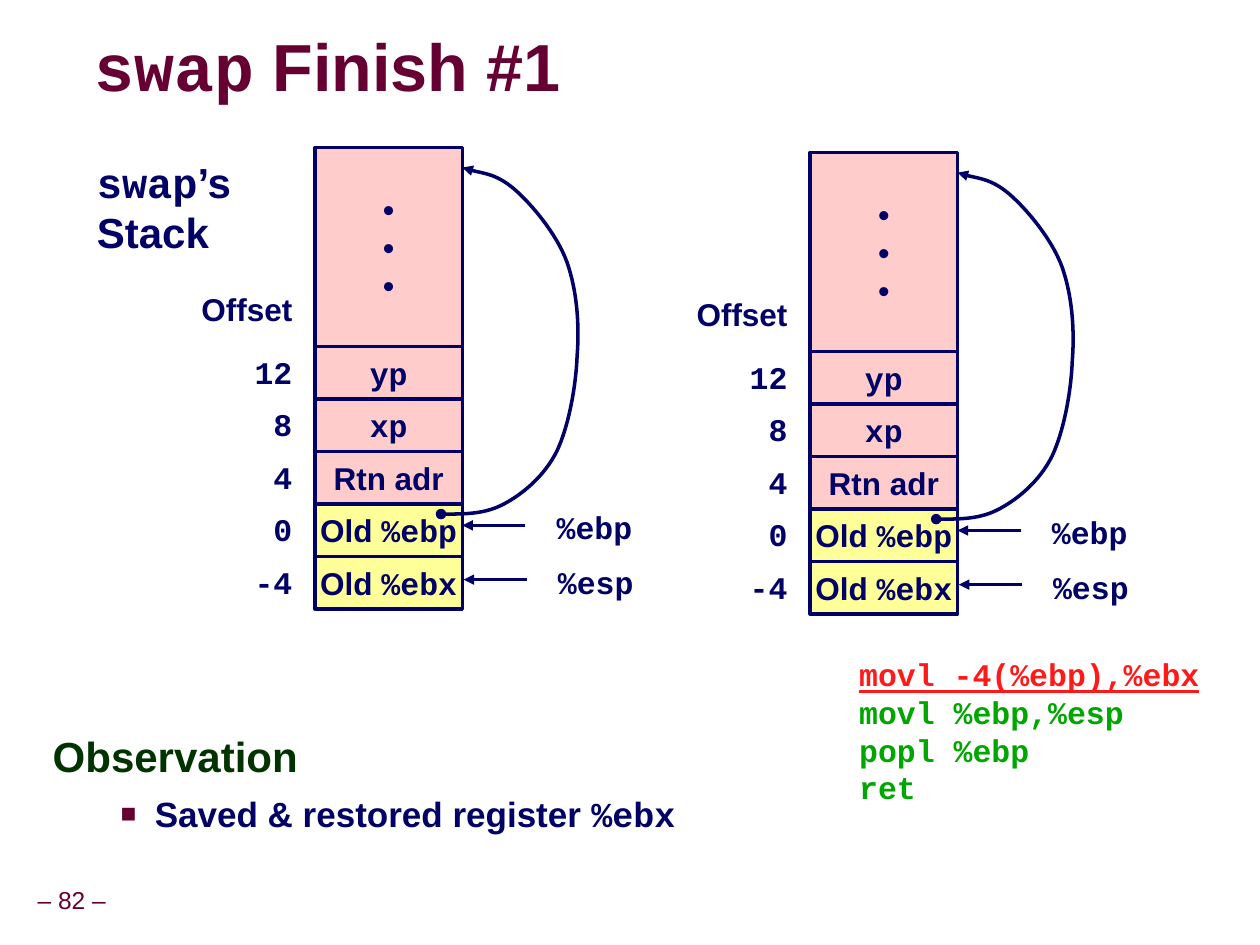
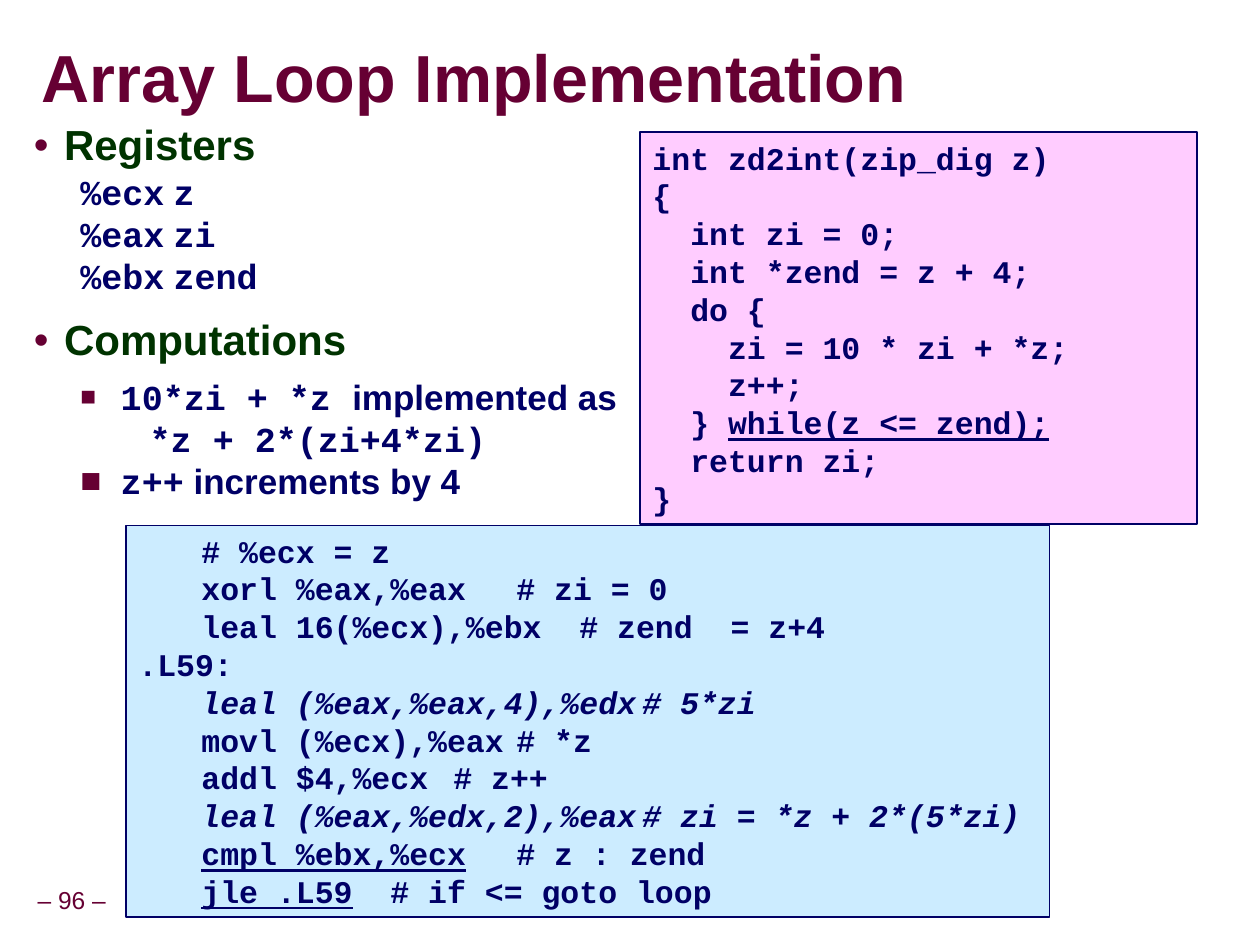
from dataclasses import dataclass, replace

from lxml import etree
from pptx import Presentation
from pptx.dml.color import RGBColor
from pptx.enum.shapes import MSO_CONNECTOR, MSO_SHAPE
from pptx.enum.text import MSO_ANCHOR, PP_ALIGN
from pptx.oxml.ns import qn
from pptx.util import Inches, Pt

LEFT, CENTER, RIGHT = PP_ALIGN.LEFT, PP_ALIGN.CENTER, PP_ALIGN.RIGHT
TOP, MIDDLE = MSO_ANCHOR.TOP, MSO_ANCHOR.MIDDLE
RECTANGLE, STRAIGHT = MSO_SHAPE.RECTANGLE, MSO_CONNECTOR.STRAIGHT
BLANK_LAYOUT = 6


# Theme
class Theme:
    navy, maroon, heading = "000066", "660033", "003300"
    red, green = "FF1A1A", "00A600"
    pink, yellow, blue, violet = "FFCCCC", "FFFF99", "CCECFF", "FFCCFF"
    sans, mono = "Arial", "Courier New"
    title, large, body, label, footer = 38, 24, 20, 18, 14


@dataclass(frozen=True)
class Style:
    font: str = Theme.sans
    size: int = Theme.label
    color: str = Theme.navy
    bold: bool = True
    italic: bool = False
    underline: bool = False
    shadow: bool = False


LABEL = Style()
CODE = Style(Theme.mono)
CODE_ITALIC = replace(CODE, italic=True)
CODE_UNDERLINE = replace(CODE, underline=True)
CODE_NEXT = replace(CODE, color=Theme.green)
CODE_CURRENT = replace(CODE, color=Theme.red, underline=True)
SIDE, SIDE_CODE = replace(LABEL, size=Theme.large), replace(CODE, size=Theme.large)
BODY, BODY_CODE = replace(LABEL, size=Theme.body), replace(CODE, size=Theme.body)
HEADING = replace(SIDE, color=Theme.heading)
TITLE = Style(size=Theme.title, color=Theme.maroon, shadow=True)
TITLE_CODE = replace(TITLE, font=Theme.mono)
FOOTER = Style(size=Theme.footer, color=Theme.maroon, bold=False)

# Content of slide 1: a paragraph is (runs, format), a run is (text, style)
SWAP_TITLE = [("swap", TITLE_CODE), (" Finish #1", TITLE)]
STACK_NAME = [([("swap", SIDE_CODE), ("’s", SIDE)], {}), ([("Stack", SIDE)], {})]
STACK_ROWS = [  # offset, cell runs, fill
    ("12", [("yp", CODE)], Theme.pink),
    ("8", [("xp", CODE)], Theme.pink),
    ("4", [("Rtn adr", LABEL)], Theme.pink),
    ("0", [("Old ", LABEL), ("%ebp", CODE)], Theme.yellow),
    ("-4", [("Old ", LABEL), ("%ebx", CODE)], Theme.yellow),
]
POINTERS = [("%ebp", 3.67, 4.17, 3.98), ("%esp", 3.68, 4.6, 4.42)]  # tip x, y, label top
CURVE_START = (3.5, 4.08)
CURVE = [  # two control points and the end of each piece
    ((3.67, 4.08), (3.85, 4.08), (4, 4)),
    ((4.15, 3.92), (4.32, 3.78), (4.42, 3.58)),
    ((4.51, 3.39), (4.57, 3.08), (4.58, 2.83)),
    ((4.6, 2.58), (4.58, 2.31), (4.5, 2.08)),
    ((4.42, 1.86), (4.22, 1.62), (4.08, 1.5)),
    ((3.94, 1.38), (3.74, 1.36), (3.67, 1.33)),
]
STACK_SHIFTS = [(0, 0), (3.93, 0.04)]
FINISH_TABS = {"tabs": [0.5]}
FINISH_CODE = [
    ([("\t", CODE), ("movl -4(%ebp),%ebx", CODE_CURRENT)], FINISH_TABS),
    ([("\tmovl %ebp,%esp", CODE_NEXT)], FINISH_TABS),
    ([("\tpopl %ebp", CODE_NEXT)], FINISH_TABS),
    ([("\tret", CODE_NEXT)], FINISH_TABS),
]
OBSERVATION = [
    ([("Observation", HEADING)], {"indent": (0.42, -0.42), "line": 0.95}),
    ([("Saved & restored register ", BODY), ("%ebx", BODY_CODE)],
     {"indent": (0.81, -0.27), "before": 6, "bullet": ("■", 75)}),
]

# Content of slide 2
ARRAY_TITLE = [("Array Loop Implementation", TITLE)]
TOPIC = {"indent": (0.24, -0.24), "line": 0.95, "bullet": ("•", 100)}
REGISTER = {"indent": (0.61, -0.24), "tabs": [1.25]}
DETAIL = {"indent": (0.69, -0.32)}
REGISTERS = [("%ecx", "z"), ("%eax", "zi"), ("%ebx", "zend")]
LOOP_NOTES = [
    ([("Registers", HEADING)], TOPIC),
    *[([(f"{register}\t{name}", BODY_CODE)], REGISTER) for register, name in REGISTERS],
    ([("Computations", HEADING)], {**TOPIC, "before": 12}),
    ([("10*zi + *z ", BODY_CODE), ("implemented as", BODY)],
     {**DETAIL, "before": 6, "bullet": ("■", 75)}),
    ([("*z + 2*(zi+4*zi)", BODY_CODE)], {"indent": (0.92, 0)}),
    ([("z++", BODY_CODE), (" increments by 4", BODY)], {**DETAIL, "bullet": ("■", 100)}),
]
C_STEP = 0.3  # two characters of code
C_LINES = [  # nesting depth, runs
    (0, [("int zd2int(zip_dig z)", CODE)]),
    (0, [("{", CODE)]),
    (1, [("int zi = 0;", CODE)]),
    (1, [("int *zend = z + 4;", CODE)]),
    (1, [("do {", CODE)]),
    (2, [("zi = 10 * zi + *z;", CODE)]),
    (2, [("z++;", CODE)]),
    (1, [("} ", CODE), ("while(z <= zend);", CODE_UNDERLINE)]),
    (1, [("return zi;", CODE)]),
    (0, [("}", CODE)]),
]
ASSEMBLY_TABS = {"tabs": [0.38, 4]}
ASSEMBLY = [  # instruction, comment, style
    ("# %ecx = z", "", CODE),
    ("xorl %eax,%eax", "# zi = 0", CODE),
    ("leal 16(%ecx),%ebx", "# zend  = z+4", CODE),
    (".L59:", "", CODE),
    ("leal (%eax,%eax,4),%edx", "# 5*zi", CODE_ITALIC),
    ("movl (%ecx),%eax", "# *z", CODE),
    ("addl $4,%ecx", "# z++", CODE),
    ("leal (%eax,%edx,2),%eax", "# zi = *z + 2*(5*zi)", CODE_ITALIC),
    ("cmpl %ebx,%ecx", "# z : zend", CODE_UNDERLINE),
    ("jle .L59", "# if <= goto loop", CODE_UNDERLINE),
]


# Text
def add_element(parent, tag, **attributes):
    return etree.SubElement(parent, qn(tag), {k: str(v) for k, v in attributes.items()})


def add_run(paragraph, text, style):
    run = paragraph.add_run()
    run.text = text
    font = run.font
    font.name, font.size, font.bold = style.font, Pt(style.size), style.bold
    font.italic, font.underline = style.italic, style.underline
    font.color.rgb = RGBColor.from_string(style.color)
    if style.shadow:
        effects = etree.Element(qn("a:effectLst"))
        shadow = add_element(effects, "a:outerShdw", blurRad=38100, dist=38100, dir=2700000)
        color = add_element(shadow, "a:srgbClr", val="000000")
        add_element(color, "a:alpha", val=43000)
        run._r.rPr.find(qn("a:solidFill")).addnext(effects)


def format_paragraph(paragraph, indent=(0, 0), line=1.0, before=0, bullet=None, tabs=()):
    paragraph.line_spacing, paragraph.space_before = line, Pt(before)
    properties = paragraph._p.get_or_add_pPr()
    properties.set("marL", str(Inches(indent[0])))
    properties.set("indent", str(Inches(indent[1])))
    if bullet:
        character, percent = bullet
        color = add_element(properties, "a:buClr")
        add_element(color, "a:srgbClr", val=Theme.maroon)
        add_element(properties, "a:buSzPct", val=percent * 1000)
        add_element(properties, "a:buFont", typeface=Theme.sans)
        add_element(properties, "a:buChar", char=character)
    if tabs:
        tab_list = add_element(properties, "a:tabLst")
        for position in tabs:
            add_element(tab_list, "a:tab", pos=Inches(position), algn="l")


def fill_text(shape, paragraphs, align=LEFT, anchor=TOP, wrap=True,
              insets=(0.1, 0.05, 0.1, 0.05)):
    frame = shape.text_frame
    frame.word_wrap, frame.vertical_anchor = wrap, anchor
    (frame.margin_left, frame.margin_top,
     frame.margin_right, frame.margin_bottom) = map(Inches, insets)
    for index, (runs, layout) in enumerate(paragraphs):
        paragraph = frame.add_paragraph() if index else frame.paragraphs[0]
        paragraph.alignment = align
        format_paragraph(paragraph, **layout)
        for text, style in runs:
            add_run(paragraph, text, style)


def add_text(slide, place, paragraphs, **options):
    fill_text(slide.shapes.add_textbox(*map(Inches, place)), paragraphs, **options)


# Shapes
def add_panel(slide, place, fill, width, paragraphs, **options):
    shape = slide.shapes.add_shape(RECTANGLE, *map(Inches, place))
    shape.shadow.inherit = False
    shape.fill.solid()
    shape.fill.fore_color.rgb = RGBColor.from_string(fill)
    draw_line(shape, width)
    fill_text(shape, paragraphs, **options)


def draw_line(shape, width, head=None, tail=None):
    shape.line.color.rgb = RGBColor.from_string(Theme.navy)
    shape.line.width = Pt(width)
    for tag, kind in (("a:headEnd", head), ("a:tailEnd", tail)):
        if kind:
            add_element(shape.line._get_or_add_ln(), tag, type=kind)


def add_arrow(slide, start, end):
    arrow = slide.shapes.add_connector(STRAIGHT, *map(Inches, start + end))
    draw_line(arrow, 2, tail="triangle")
    add_element(arrow._element.spPr, "a:effectLst")


def add_curve(slide, start, pieces):
    anchors = [start] + [piece[-1] for piece in pieces]
    left, top = min(x for x, _ in anchors), min(y for _, y in anchors)
    builder = slide.shapes.build_freeform(Inches(start[0]), Inches(start[1]))
    builder.add_line_segments([(Inches(x), Inches(y)) for x, y in anchors[1:]], close=False)
    shape = builder.convert_to_shape()
    shape.shadow.inherit = False
    shape.fill.background()
    draw_line(shape, 2, head="oval", tail="triangle")
    # Bend each straight piece
    for segment, piece in zip(list(shape._element.iter(qn("a:lnTo"))), pieces):
        bend = etree.Element(qn("a:cubicBezTo"))
        for x, y in piece:
            add_element(bend, "a:pt", x=Inches(x - left), y=Inches(y - top))
        segment.getparent().replace(segment, bend)


# Slide parts
def add_slide(presentation, number, title, title_place):
    slide = presentation.slides.add_slide(presentation.slide_layouts[BLANK_LAYOUT])
    add_text(slide, (0.24, 7, 0.66, 0.31), [([(f"– {number} –", FOOTER)], {"line": 0.9})],
             align=CENTER, anchor=MIDDLE, wrap=False, insets=(0.05,) * 4)
    add_text(slide, title_place, [(title, {"line": 0.87})], anchor=MIDDLE, insets=(0,) * 4)
    return slide


def add_stack(slide, dx, dy):
    cell_left, cell_width, row_height, rows_top = 2.5 + dx, 1.17, 5 / 12, 2.75 + dy
    cell = {"align": CENTER, "anchor": MIDDLE, "wrap": False}
    add_panel(slide, (cell_left, 1.17 + dy, cell_width, 1.58), Theme.pink, 2,
              [([("•", LABEL)], {})] * 3, **cell)
    add_text(slide, (1.5 + dx, 2.25 + dy, 0.92, 0.4), [([("Offset", LABEL)], {})], wrap=False)
    for index, (offset, runs, fill) in enumerate(STACK_ROWS):
        top = rows_top + index * row_height
        add_panel(slide, (cell_left, top, cell_width, row_height), fill, 2, [(runs, {})], **cell)
        add_text(slide, (1.92 + dx, top, 0.65, 0.4), [([(offset, CODE)], {})],
                 align=RIGHT, insets=(0, 0.05, 0.25, 0.05))
    for name, tip, height, label_top in POINTERS:
        add_arrow(slide, (tip + 0.5 + dx, height + dy), (tip + dx, height + dy))
        add_text(slide, (tip + 0.65 + dx, label_top + dy, 0.8, 0.4), [([(name, CODE)], {})],
                 wrap=False)
    shift = [[(x + dx, y + dy) for x, y in piece] for piece in [[CURVE_START], *CURVE]]
    add_curve(slide, shift[0][0], shift[1:])


def assembly_line(instruction, comment, style):
    lead = "" if instruction.endswith(":") else "\t"
    rest = replace(style, underline=False)
    runs = [(lead, rest), (instruction, style), ("\t" + comment if comment else "", rest)]
    return [run for run in runs if run[0]], ASSEMBLY_TABS


presentation = Presentation()
presentation.slide_width, presentation.slide_height = Inches(10), Inches(7.5)

# Slide 1: stack before and after
slide = add_slide(presentation, 82, SWAP_TITLE, (0.75, 0.25, 6.07, 0.63))
add_text(slide, (6.22, 5.15, 3.42, 1.3), FINISH_CODE)
add_text(slide, (0.67, 1.19, 1.28, 0.9), STACK_NAME, wrap=False)
for dx, dy in STACK_SHIFTS:
    add_stack(slide, dx, dy)
add_text(slide, (0.32, 5.78, 9.09, 1.27), OBSERVATION)

# Slide 2: loop in C and assembly
slide = add_slide(presentation, 96, ARRAY_TITLE, (0.33, 0.33, 9.17, 0.63))
add_text(slide, (0.17, 0.92, 4.83, 2.38), LOOP_NOTES)
add_panel(slide, (1, 4.17, 7.33, 3.11), Theme.blue, 1,
          [assembly_line(*row) for row in ASSEMBLY])
add_panel(slide, (5.08, 1.05, 4.42, 3.11), Theme.violet, 1,
          [(runs, {"indent": (depth * C_STEP, 0)}) for depth, runs in C_LINES])

presentation.save("out.pptx")
